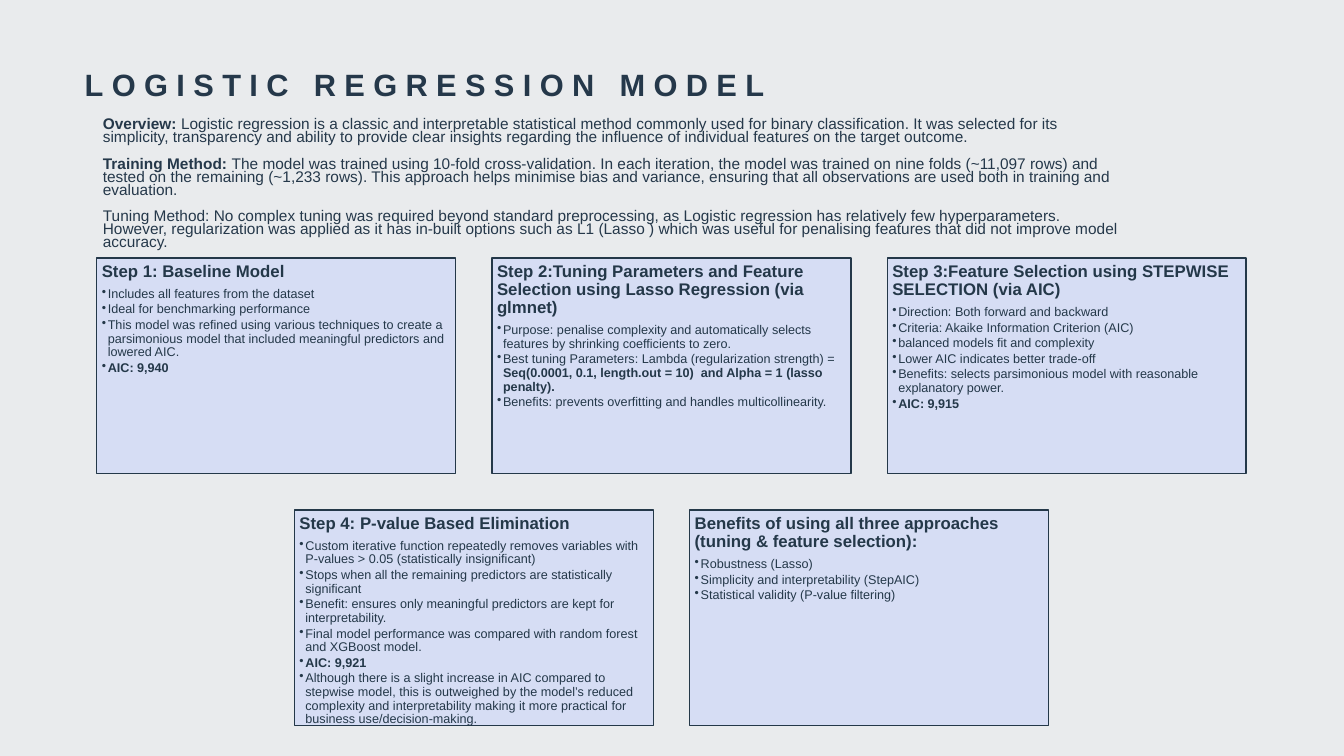
from lxml import etree
from pptx import Presentation
from pptx import util as u
from pptx.dml.color import RGBColor
from pptx.enum import shapes, text
from pptx.oxml import ns

HUES = {"back": "E9EBED", "ink": "25384A", "edge": "243849", "card": "D6DDF4"}
FONT = "Arial"
LEFT, TOP = 0.96, 2.56
COL, ROW = 3.92, 2.5
WIDE, HIGH = 3.56, 2.14

INTRO = [
    [("Overview: ", True),
     ("Logistic regression is a classic and interpretable statistical method commonly used for binary "
      "classification. It was selected for its simplicity, transparency and ability to provide clear "
      "insights regarding the influence of individual features on the target outcome.", False)],
    [("Training Method: ", True),
     ("The model was trained using 10-fold cross-validation. In each iteration, the model was trained on "
      "nine folds (~11,097 rows) and tested on the remaining (~1,233 rows). This approach helps minimise "
      "bias and variance, ensuring that all observations are used both in training and evaluation.", False)],
    [("Tuning Method: No complex tuning was required beyond standard preprocessing, as Logistic regression "
      "has relatively few hyperparameters. However, regularization was applied as it has in-built options "
      "such as L1 (Lasso ) which was useful for penalising features that did not improve model accuracy.",
      False)],
]

CARDS = [
    (0, 0, "Step 1: Baseline Model", [
        "Includes all features from the dataset",
        "Ideal for benchmarking performance",
        "This model was refined using various techniques to create a parsimonious model that included "
        "meaningful predictors and lowered AIC.",
        [("AIC: 9,940", True)]]),
    (1, 0, "Step 2:Tuning Parameters and Feature Selection using Lasso Regression (via glmnet)", [
        "Purpose: penalise complexity and automatically selects features by shrinking coefficients to zero.",
        [("Best tuning Parameters: Lambda (regularization strength) = ", False),
         ("Seq(0.0001, 0.1, length.out = 10)  and Alpha = 1 (lasso penalty).", True)],
        "Benefits: prevents overfitting and handles multicollinearity."]),
    (2, 0, "Step 3:Feature Selection using STEPWISE SELECTION (via AIC)", [
        "Direction: Both forward and backward",
        "Criteria: Akaike Information Criterion (AIC)",
        "balanced models fit and complexity",
        "Lower AIC indicates better trade-off",
        "Benefits: selects parsimonious model with reasonable explanatory power.",
        [("AIC: 9,915", True)]]),
    (0.5, 1, "Step 4: P-value Based Elimination", [
        "Custom iterative function repeatedly removes variables with P-values > 0.05 "
        "(statistically insignificant)",
        "Stops when all the remaining predictors are statistically significant",
        "Benefit: ensures only meaningful predictors are kept for interpretability.",
        "Final model performance was compared with random forest and XGBoost model.",
        [("AIC: 9,921", True)],
        "Although there is a slight increase in AIC compared to stepwise model, this is outweighed by the "
        "model’s reduced complexity and interpretability making it more practical for business "
        "use/decision-making."]),
    (1.5, 1, "Benefits of using all three approaches (tuning & feature selection):", [
        "Robustness (Lasso)",
        "Simplicity and interpretability (StepAIC)",
        "Statistical validity (P-value filtering)"]),
]


def tint(name):
    return RGBColor.from_string(HUES[name])


def place(item, x, y, w, h):
    item.left, item.top, item.width, item.height = map(u.Inches, (x, y, w, h))


def write(para, parts, size, hue):
    para.alignment = text.PP_ALIGN.LEFT
    for words, bold in parts:
        run = para.add_run()
        run.text = words
        font = run.font
        font.name, font.size, font.bold = FONT, u.Pt(size), bold
        font.color.rgb = tint(hue)


def mark(para, sign=None, inset=0):
    props = para._p.get_or_add_pPr()
    props.set("marL", str(u.Inches(inset)))
    props.set("indent", str(-u.Inches(inset)))
    if sign:
        etree.SubElement(props, ns.qn("a:buChar")).set("char", sign)
    else:
        etree.SubElement(props, ns.qn("a:buNone"))


def lines(frame, count):
    for _ in range(count - 1):
        frame.add_paragraph()
    return frame.paragraphs


def head(slide):
    title = slide.shapes.title
    place(title, 0.74, 0.54, 9.4, 0.59)
    frame = title.text_frame
    frame.auto_size = text.MSO_AUTO_SIZE.NONE
    frame.vertical_anchor = text.MSO_ANCHOR.MIDDLE
    para = frame.paragraphs[0]
    para.space_after = u.Pt(6)
    write(para, [("LOGISTIC REGRESSION MODEL", True)], 22, "ink")
    para.runs[0].font._element.set("spc", "600")


def intro(slide):
    body = slide.placeholders[1]
    place(body, 0.92, 1.13, 10.3, 1.42)
    frame = body.text_frame
    frame.auto_size = text.MSO_AUTO_SIZE.NONE
    for para, parts in zip(lines(frame, len(INTRO)), INTRO):
        para.line_spacing, para.space_before = 0.7, u.Pt(10)
        mark(para)
        write(para, parts, 11, "ink")


def card(slide, col, row, name, points):
    box = slide.shapes.add_shape(
        shapes.MSO_SHAPE.RECTANGLE,
        *map(u.Inches, (LEFT + col * COL, TOP + row * ROW, WIDE, HIGH)))
    box.shadow.inherit = False
    box.fill.solid()
    box.fill.fore_color.rgb = tint("card")
    box.line.color.rgb = tint("edge")
    box.line.width = u.Pt(1)
    frame = box.text_frame
    frame.word_wrap = True
    frame.vertical_anchor = text.MSO_ANCHOR.TOP
    for side in ("left", "right", "top", "bottom"):
        setattr(frame, f"margin_{side}", u.Inches(0.05))
    first, *rest = lines(frame, len(points) + 1)
    first.line_spacing, first.space_after = 0.9, u.Pt(4.5)
    write(first, [(name, True)], 12, "edge")
    for para, point in zip(rest, points):
        para.level = 1
        para.line_spacing, para.space_after = 0.9, u.Pt(1.4)
        mark(para, "•", 0.06)
        write(para, [(point, False)] if isinstance(point, str) else point, 9, "edge")


def main():
    deck = Presentation()
    deck.slide_width, deck.slide_height = u.Inches(13.33), u.Inches(7.5)
    slide = deck.slides.add_slide(deck.slide_layouts[1])
    slide.background.fill.solid()
    slide.background.fill.fore_color.rgb = tint("back")
    head(slide)
    intro(slide)
    for step in CARDS:
        card(slide, *step)
    deck.save("out.pptx")


if __name__ == "__main__":
    main()
